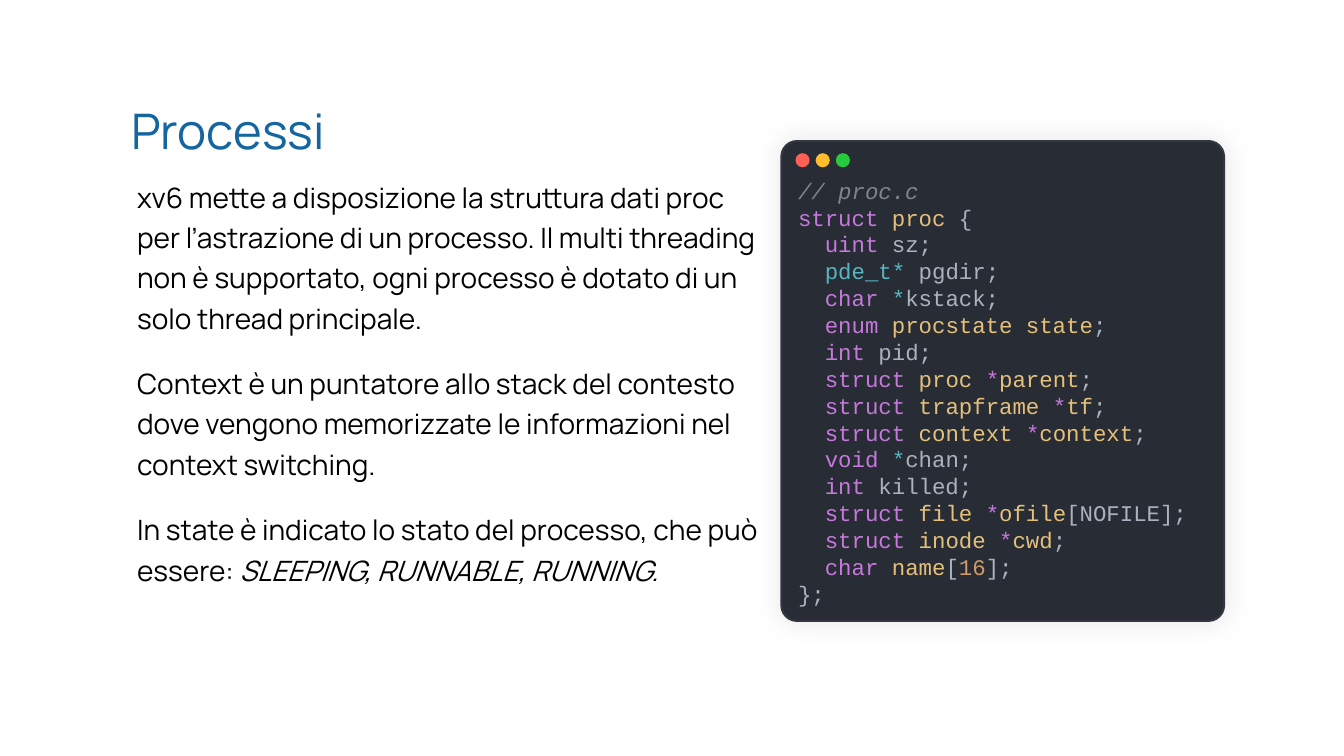
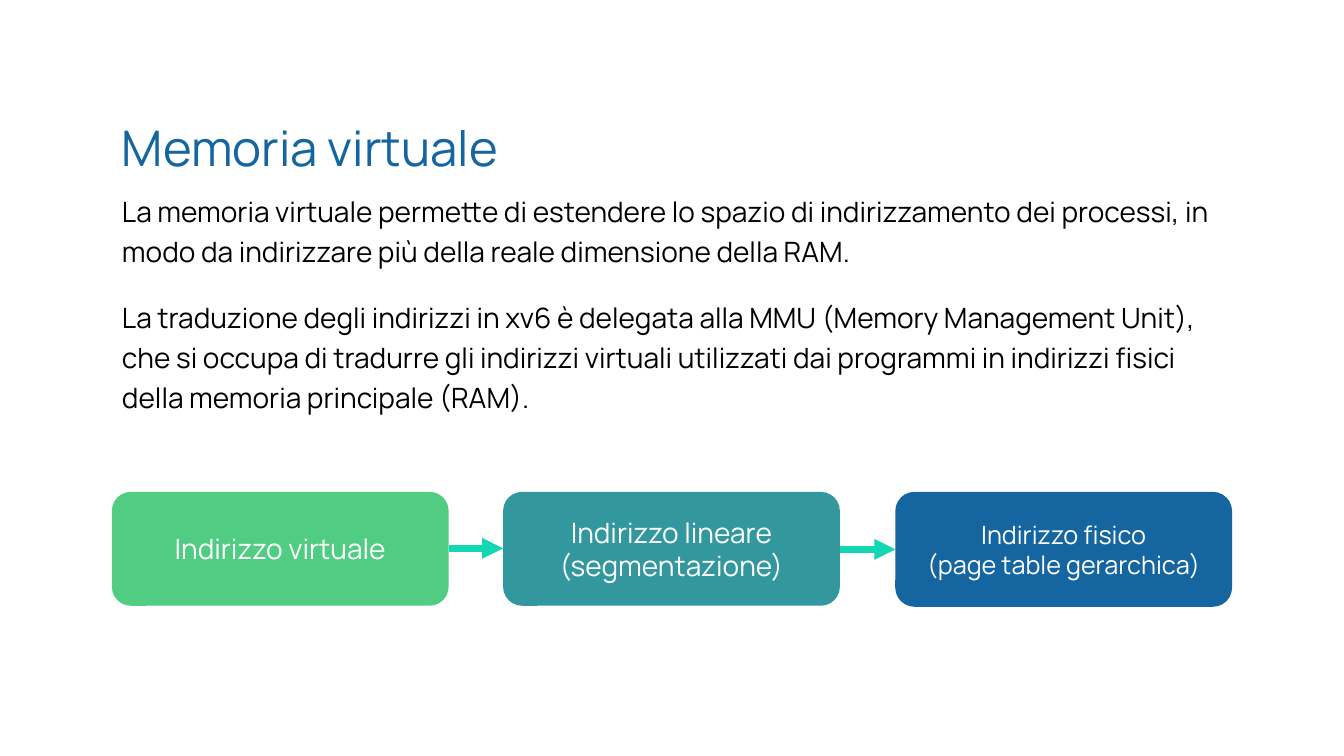
"""Build two slides on xv6 processes and virtual memory."""
from lxml.etree import SubElement
from pptx import Presentation
from pptx.dml.color import RGBColor
from pptx.enum.shapes import MSO_CONNECTOR, MSO_SHAPE
from pptx.enum.text import MSO_ANCHOR, MSO_AUTO_SIZE, PP_ALIGN
from pptx.oxml.ns import qn
from pptx.util import Pt

PX = 9144
BLUE, TEAL, GREEN, MINT = "1566A0", "32989E", "51CD83", "13D7B2"
DARK, EDGE, BLACK, WHITE = "282C34", "323742", "000000", "FFFFFF"


def ink(code):
    return RGBColor.from_string(code)


def put(frame, paras, look, form, room):
    for key, val in room.items():
        setattr(frame, key, val)
    for num, runs in enumerate(paras):
        para = frame.add_paragraph() if num else frame.paragraphs[0]
        props = para._p.get_or_add_pPr()
        for key in ("marL", "indent"):
            props.set(key, "0")
        SubElement(props, qn("a:buNone"))
        for key, val in form.items():
            setattr(para, key, val)
        for text, extra in runs:
            for row, part in enumerate(text.split("\n")):
                if row:
                    para.add_line_break()
                run = para.add_run()
                run.text = part
                for key, val in {**look, **extra}.items():
                    goal = run.font.color if key == "rgb" else run.font
                    setattr(goal, key, val)


HEAD = {"size": Pt(35), "name": "Manrope", "rgb": ink(BLUE)}
BODY = {"size": Pt(20), "name": "Manrope", "rgb": ink(BLACK)}
CODE = {"size": Pt(16), "name": "Courier New"}
LEFT = {"alignment": PP_ALIGN.LEFT, "space_before": Pt(0)}
PROSE = {**LEFT, "line_spacing": 1.2, "space_after": Pt(18)}
MID = {"alignment": PP_ALIGN.CENTER}
TOP = {"auto_size": MSO_AUTO_SIZE.NONE, "word_wrap": True,
       "vertical_anchor": MSO_ANCHOR.TOP}

PAGES = [
    ("Processi", (120, 95, 228, 69), (126, 167, 636, 422), [
        [("xv6 mette a disposizione la struttura dati proc per l’astrazione "
          "di un processo. Il multi threading non è supportato, ogni processo "
          "è dotato di un solo thread principale.", {})],
        [("Context è un puntatore allo stack del contesto dove vengono "
          "memorizzate le informazioni nel context switching.", {})],
        [("In state è indicato lo stato del processo, che può essere: ", {}),
         ("SLEEPING, RUNNABLE, RUNNING.", {"italic": True})],
    ]),
    ("Memoria virtuale", (111, 112, 448, 69), (111, 181, 1111, 236), [
        [("La memoria virtuale permette di estendere lo spazio di "
          "indirizzamento dei processi, in modo da indirizzare più della "
          "reale dimensione della RAM.", {})],
        [("La traduzione degli indirizzi in xv6 è delegata alla MMU (Memory "
          "Management Unit), che si occupa di tradurre gli indirizzi virtuali "
          "utilizzati dai programmi in indirizzi fisici della memoria "
          "principale (RAM).", {})],
    ]),
]

HUES = {"c": "7F848E", "p": "C678DD", "y": "E5C07B",
        "g": "ABB2BF", "t": "56B6C2", "o": "D19A66"}
LINES = [
    ("c// proc.c",),
    ("pstruct ", "yproc", "g {"),
    ("p  uint ", "gsz;"),
    ("t  pde_t* ", "gpgdir;"),
    ("p  char ", "t*", "gkstack;"),
    ("p  enum ", "yprocstate state", "g;"),
    ("p  int ", "gpid;"),
    ("p  struct ", "yproc ", "p*", "yparent", "g;"),
    ("p  struct ", "ytrapframe ", "p*", "ytf", "g;"),
    ("p  struct ", "ycontext ", "p*", "ycontext", "g;"),
    ("p  void ", "t*", "gchan;"),
    ("p  int ", "gkilled;"),
    ("p  struct ", "yfile ", "p*", "yofile", "g[NOFILE];"),
    ("p  struct ", "yinode ", "p*", "ycwd", "g;"),
    ("p  char ", "yname", "g[", "o16", "g];"),
    ("g};",),
]
STEPS = [
    ("Indirizzo virtuale", GREEN, 20, 113),
    ("Indirizzo lineare\n(segmentazione)", TEAL, 20, 113),
    ("Indirizzo fisico\n(page table gerarchica)", BLUE, 18, 114),
]

deck = Presentation()
deck.slide_width, deck.slide_height = 1333 * PX, 750 * PX

slides = []
for title, spot, area, paras in PAGES:
    slide = deck.slides.add_slide(deck.slide_layouts[1])
    slides.append(slide)
    head, body = slide.placeholders
    for hold, rect in ((head, spot), (body, area)):
        for key, val in zip(("left", "top", "width", "height"), rect):
            setattr(hold, key, val * PX)
    put(head.text_frame, [[(title, {})]], HEAD, LEFT,
        {**TOP, "word_wrap": False})
    put(body.text_frame, paras, BODY, PROSE, TOP)

group = slides[0].shapes.add_group_shape()
panel = group.shapes.add_shape(
    MSO_SHAPE.ROUNDED_RECTANGLE, 775 * PX, 140 * PX, 439 * PX, 476 * PX)
panel.adjustments[0] = 0.035
panel.fill.solid()
panel.fill.fore_color.rgb = ink(DARK)
panel.line.color.rgb = ink(EDGE)
panel.line.width = Pt(1.5)
panel.shadow.inherit = False
glow = SubElement(panel._element.spPr.find(qn("a:effectLst")),
                  qn("a:outerShdw"), blurRad=str(Pt(20)), dist="0",
                  algn="ctr", rotWithShape="0")
tint = SubElement(glow, qn("a:srgbClr"), val=BLACK)
SubElement(tint, qn("a:alpha"), val="10000")
code = [[(bit[1:], {"rgb": ink(HUES[bit[0]]), "italic": bit[0] == "c"})
         for bit in line] for line in LINES]
put(panel.text_frame, code, CODE, LEFT,
    {**TOP, "margin_left": 12 * PX, "margin_top": 31 * PX,
     "margin_right": 12 * PX, "margin_bottom": 12 * PX})

for num, hue in enumerate(("FF5F56", "FFBD2E", "27C93F")):
    dot = group.shapes.add_shape(
        MSO_SHAPE.OVAL, (789 + 20 * num) * PX, 152 * PX, 14 * PX, 14 * PX)
    dot.shadow.inherit = False
    dot.fill.solid()
    dot.fill.fore_color.rgb = ink(hue)
    dot.line.fill.background()

shapes = slides[1].shapes
wide = 334
lefts = [111 + 777 * num // 2 for num in range(len(STEPS))]
for left, (text, hue, size, high) in zip(lefts, STEPS):
    box = shapes.add_shape(MSO_SHAPE.ROUNDED_RECTANGLE,
                           left * PX, 488 * PX, wide * PX, high * PX)
    box.shadow.inherit = False
    box.fill.solid()
    box.fill.fore_color.rgb = ink(hue)
    box.line.fill.background()
    put(box.text_frame, [[(text, {})]],
        {**BODY, "size": Pt(size), "rgb": ink(WHITE)}, MID,
        {**TOP, "vertical_anchor": MSO_ANCHOR.MIDDLE})

for num, (left, right) in enumerate(zip(lefts, lefts[1:])):
    high = (544 + num) * PX
    arrow = shapes.add_connector(MSO_CONNECTOR.STRAIGHT,
                                 (left + wide) * PX, high, right * PX, high)
    arrow.line.color.rgb = ink(MINT)
    arrow.line.width = Pt(5)
    SubElement(arrow.line._get_or_add_ln(), qn("a:tailEnd"), type="triangle")
    SubElement(arrow._element.spPr, qn("a:effectLst"))

deck.save("out.pptx")
